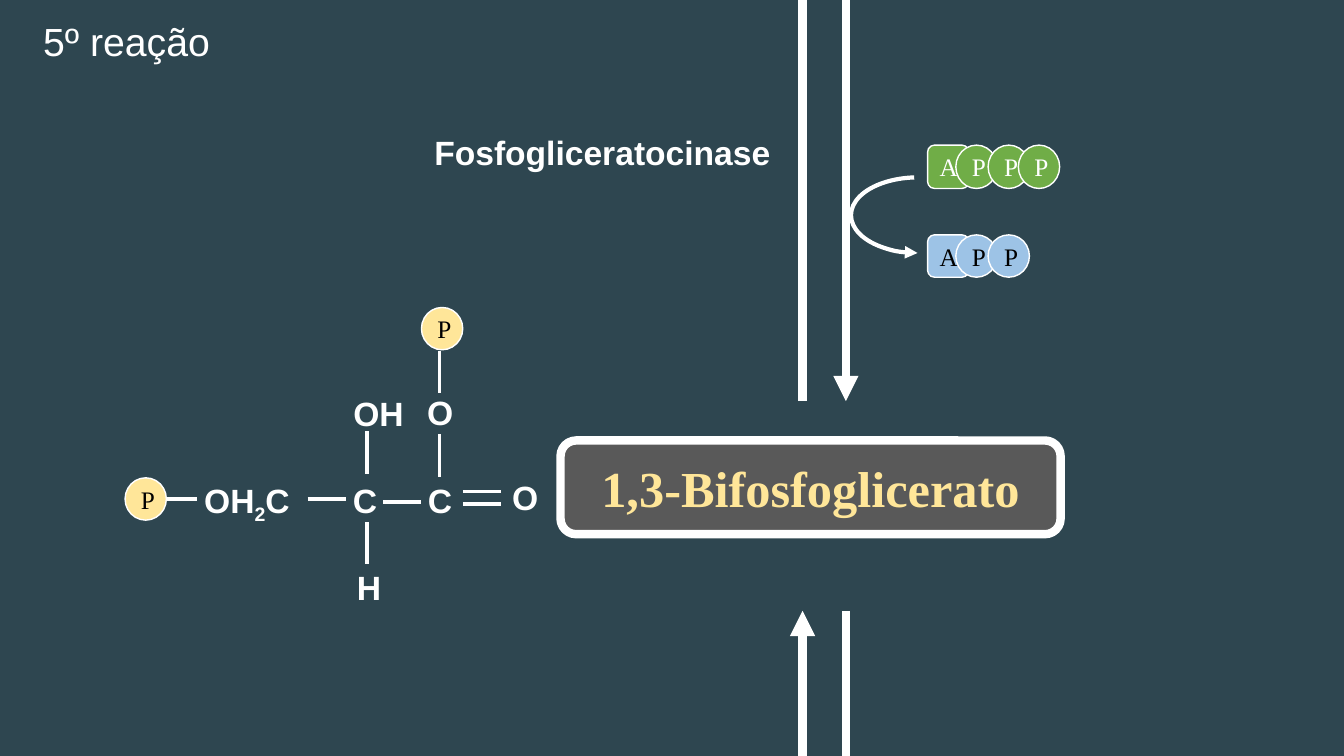
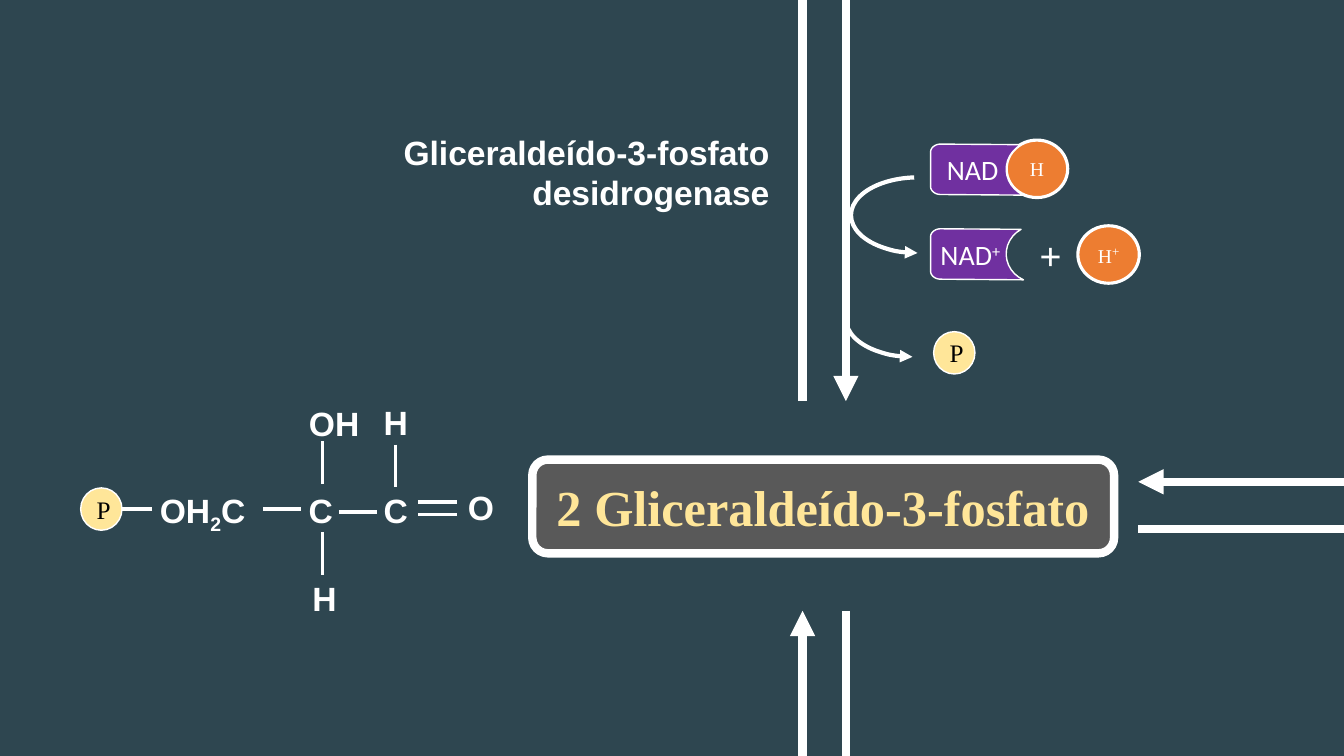
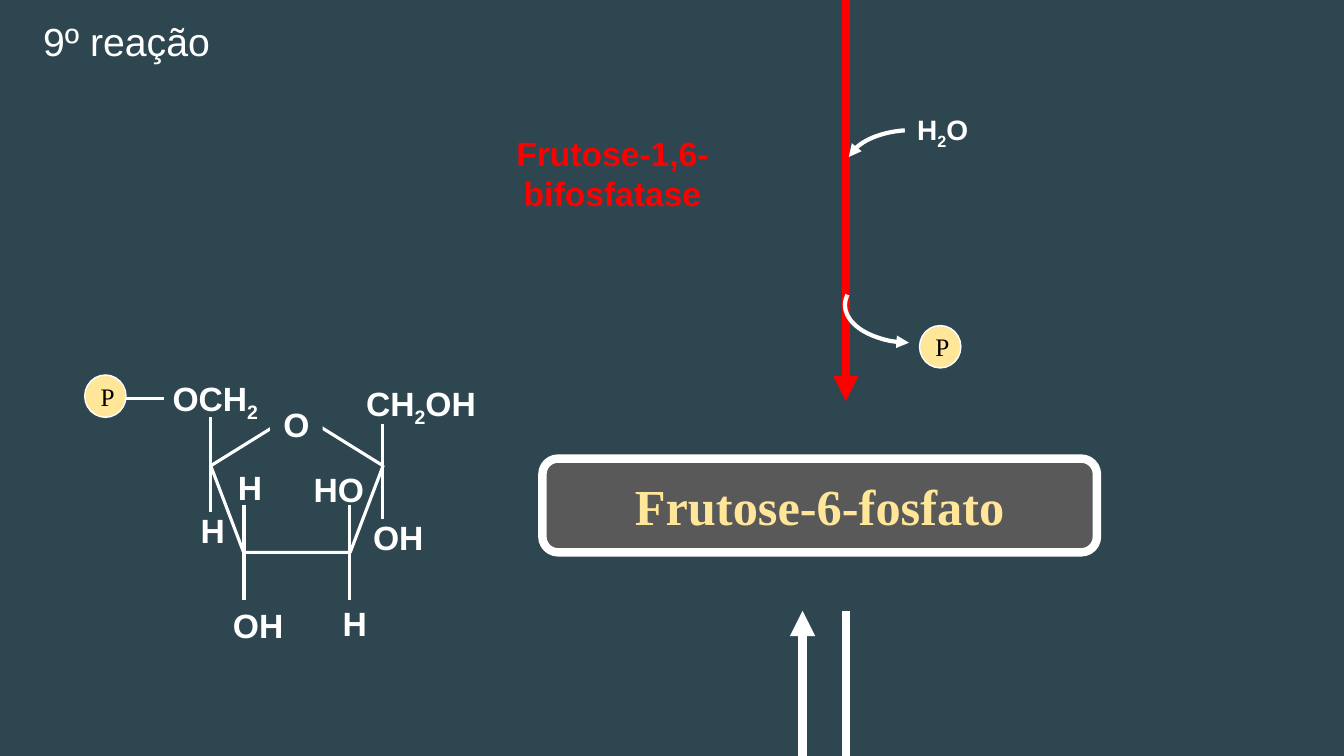
from math import cos, radians, sin
from lxml import etree
from pptx import Presentation
from pptx import util as u
from pptx.dml.color import RGBColor
from pptx.enum import shapes, text
from pptx.oxml.ns import qn

Inches, Pt = u.Inches, u.Pt
KIND, ALIGN = shapes.MSO_SHAPE, text.PP_ALIGN
NIGHT = RGBColor(0x2E, 0x46, 0x50)
WHITE = RGBColor(0xFF, 0xFF, 0xFF)
BLACK = RGBColor(0, 0, 0)
RED = RGBColor(0xFF, 0, 0)
GRAY = RGBColor(0x59, 0x59, 0x59)
CREAM = RGBColor(0xFF, 0xE6, 0x99)
GREEN = RGBColor(0x70, 0xAD, 0x47)
BLUE = RGBColor(0x9D, 0xC3, 0xE6)
ORANGE = RGBColor(0xED, 0x7D, 0x31)
PURPLE = RGBColor(0x70, 0x30, 0xA0)
SANS, SERIF, PLAIN = "Arial", "Times New Roman", "Calibri"
WIDE, HIGH = 13.33, 7.5
UP, DOWN = 7.96, 8.39


def write(shape, words, size, face, color=WHITE, bold=False, align=ALIGN.CENTER):
    """Write one paragraph; parts between bars are raised or lowered."""
    para = shape.text_frame.paragraphs[0]
    para.alignment = align
    font = para.font
    font.size, font.name, font.bold = Pt(size), face, bold
    font.color.rgb = color
    for i, part in enumerate(words.split("|")):
        if part:
            run = para.add_run()
            run.text = part
            if i % 2:
                shift = "30000" if part == "+" else "-25000"
                run._r.get_or_add_rPr().set("baseline", shift)


def paint(shape, fill, width, edge=WHITE):
    """Set the fill and outline; None leaves either off."""
    shape.shadow.inherit = False
    if fill is None:
        shape.fill.background()
    else:
        shape.fill.solid()
        shape.fill.fore_color.rgb = fill
    if width is None:
        shape.line.fill.background()
    else:
        shape.line.width = Pt(width)
        shape.line.color.rgb = edge


def form(home, kind, box, fill, width):
    """Add a painted preset shape."""
    shape = home.add_shape(kind, *map(Inches, box))
    paint(shape, fill, width)
    return shape


def label(slide, words, box, size=24, color=WHITE, bold=True,
          align=ALIGN.CENTER, face=SANS):
    """Add a text box that wraps and grows."""
    area = slide.shapes.add_textbox(*map(Inches, box))
    area.text_frame.word_wrap = True
    area.text_frame.auto_size = text.MSO_AUTO_SIZE.SHAPE_TO_FIT_TEXT
    write(area, words, size, face, color, bold, align)


def tip(shape, end):
    """Put a triangle on one end of a line."""
    line = shape.line._get_or_add_ln()
    etree.SubElement(line, qn("a:" + end)).set("type", "triangle")


def rule(slide, x1, y1, x2, y2, width=2.25, color=WHITE, arrow=False):
    """Draw a straight line, perhaps with an arrowhead."""
    line = slide.shapes.add_connector(
        shapes.MSO_CONNECTOR.STRAIGHT, *map(Inches, (x1, y1, x2, y2)))
    line.line.width = Pt(width)
    line.line.color.rgb = color
    if arrow:
        tip(line, "tailEnd")
    etree.SubElement(line._element.spPr, qn("a:effectLst"))


def curve(slide, x, y, start, stop):
    """Draw a curved side arrow."""
    arc = form(slide.shapes, KIND.ARC, (x, y, 1.32, 0.75), None, 3)
    arc.rotation = 180
    arc.adjustments[0], arc.adjustments[1] = start, stop
    tip(arc, "headEnd")


def disc(home, x, y, fill=CREAM, color=BLACK, high=0.42, kind=KIND.OVAL, words="P"):
    """Add a one-letter token."""
    token = form(home, kind, (x, y, 0.41, high), fill, 1)
    write(token, words, 18, SERIF, color)


def carrier(slide, y, high, fill, color, count):
    """Add a group of A followed by phosphates."""
    home = slide.shapes.add_group_shape().shapes
    disc(home, 9.2, y, fill, color, high, KIND.ROUNDED_RECTANGLE, "A")
    for x in (9.48, 9.8, 10.1)[:count]:
        disc(home, x, y, fill, color, high)


def proton(slide, x, y, words):
    """Add a hydrogen token."""
    ball = form(slide.shapes, KIND.OVAL, (x, y, 0.61, 0.57), ORANGE, 2.25)
    write(ball, words, 14, SERIF)
    for run in ball.text_frame.paragraphs[0].runs[1:]:
        run.font.size = Pt(16)


def bow(x, y, wide, high, start, stop):
    """Return points along an elliptic arc."""
    turns = [radians(start + (stop - start) * i / 12) for i in range(13)]
    return [(Inches(x + wide * cos(t)), Inches(y + high * sin(t))) for t in turns]


def notch(slide, y, words):
    """Add a NAD block with a round bite on its right."""
    dots = (bow(10.285, y + 0.25, 0.305, 0.285, 239, 116)
            + bow(9.33, y + 0.42, 0.1, 0.08, 90, 180)
            + bow(9.33, y + 0.08, 0.1, 0.08, 180, 270))
    pen = slide.shapes.build_freeform(*dots[0])
    pen.add_line_segments(dots[1:], close=True)
    block = pen.convert_to_shape()
    paint(block, PURPLE, 1)
    block.text_frame.vertical_anchor = text.MSO_ANCHOR.MIDDLE
    write(block, words, 20, PLAIN, align=ALIGN.LEFT)


def chain(slide, x, y, top):
    """Draw the three-carbon chain, with its phosphate at x, y."""
    for x1, y1, x2, y2 in (
            (0.71, 0.21, 0.37, 0.21), (1.81, 0.21, 2.19, 0.21),
            (2.4, -0.46, 2.4, -0.04), (2.56, 0.24, 2.94, 0.24),
            (3.12, -0.43, 3.12, -0.01), (3.35, 0.14, 3.73, 0.14),
            (3.35, 0.26, 3.73, 0.26), (2.4, 0.44, 2.4, 0.86)):
        rule(slide, x + x1, y + y1, x + x2, y + y2)
    for words, left, drop, wide in (
            ("OH|2|C", 0.53, -0.03, 1.36), ("C", 2.12, -0.03, 0.52),
            ("OH", 2.15, -0.89, 0.73), ("O", 3.71, -0.06, 0.52),
            ("C", 2.87, -0.03, 0.51), (top, 2.83, -0.9, 0.59),
            ("H", 2.2, 0.84, 0.39)):
        label(slide, words, (x + left, y + drop, wide, 0.5))
    disc(slide.shapes, x, y)


def ring(slide):
    """Draw the fructose ring with its side groups."""
    form(slide.shapes, KIND.REGULAR_PENTAGON, (2.09, 4.09, 1.71, 1.39), None, 2.25)
    for x, y in ((3.79, 4.21), (3.47, 5.01), (2.42, 5.01), (2.09, 4.14)):
        rule(slide, x, y, x, y + 0.94)
    oxygen = form(slide.shapes, KIND.RECTANGLE, (2.68, 3.96, 0.52, 0.5), NIGHT, None)
    oxygen.text_frame.vertical_anchor = text.MSO_ANCHOR.TOP
    write(oxygen, "O", 24, SANS, bold=True)
    for words, x, y, wide in (
            ("CH|2|OH", 3.47, 3.75, 1.41), ("OH", 3.56, 5.08, 0.78),
            ("HO", 3, 4.6, 0.72), ("H", 3.3, 5.93, 0.39),
            ("OCH|2|", 1.43, 3.7, 1.41), ("OH", 2.17, 5.95, 0.78),
            ("H", 2.26, 4.58, 0.39), ("H", 1.89, 5.01, 0.39)):
        label(slide, words, (x, y, wide, 0.5))
    rule(slide, 1.25, 3.95, 1.63, 3.95)
    disc(slide.shapes, 0.84, 3.72)


def stage(deck, name, x, y, wide, color=WHITE, back=True):
    """Start a slide with its compound name and reaction arrows."""
    slide = deck.slides.add_slide(deck.slide_layouts[6])
    slide.background.fill.solid()
    slide.background.fill.fore_color.rgb = NIGHT
    plate = form(slide.shapes, KIND.ROUNDED_RECTANGLE, (x, y, wide, 0.93), GRAY, 6)
    write(plate, name, 36, SERIF, CREAM, True)
    rule(slide, DOWN, 0, DOWN, 3.98, 6, color, True)
    if back:
        rule(slide, UP, 3.98, UP, 0, 6)
    rule(slide, DOWN, 6.06, DOWN, HIGH, 6)
    rule(slide, UP, HIGH, UP, 6.06, 6, arrow=True)
    return slide


def title(slide, words):
    """Write the reaction number."""
    label(slide, words, (0.02, 0.12, 2.47, 0.57), 28, bold=False)


def fifth(deck):
    """Build the bisphosphoglycerate slide."""
    slide = stage(deck, "1,3-Bifosfoglicerato", 5.56, 4.37, 4.96)
    carrier(slide, 1.44, 0.43, GREEN, WHITE, 3)
    carrier(slide, 2.33, 0.42, BLUE, BLACK, 2)
    curve(slide, 8.44, 1.76, 162, 50.98)
    title(slide, "5º reação")
    chain(slide, 1.24, 4.74, "O")
    disc(slide.shapes, 4.18, 3.05)
    rule(slide, 4.36, 3.48, 4.36, 3.9)
    label(slide, "Fosfogliceratocinase", (4, 1.26, 3.74, 0.5), align=ALIGN.RIGHT)


def sixth(deck):
    """Build the glyceraldehyde slide."""
    slide = stage(deck, "2 Gliceraldeído-3-fosfato", 5.28, 4.56, 5.77)
    curve(slide, 8.44, 1.76, 162, 50.98)
    proton(slide, 9.98, 1.39, "H")
    notch(slide, 1.43, " NAD")
    proton(slide, 10.69, 2.24, "H|+|")
    notch(slide, 2.27, "NAD|+|")
    label(slide, "+", (10.21, 2.25, 0.34, 0.57), 28, face=SERIF)
    chain(slide, 0.8, 4.84, "H")
    disc(slide.shapes, 9.26, 3.29)
    curve(slide, 8.39, 2.79, 162, 1.79)
    rule(slide, WIDE, 4.78, 11.29, 4.78, 6, arrow=True)
    rule(slide, 11.29, 5.25, WIDE, 5.25, 6)
    label(slide, "Gliceraldeído-3-fosfato desidrogenase",
          (1.51, 1.26, 6.22, 0.5), align=ALIGN.RIGHT)


def ninth(deck):
    """Build the fructose slide."""
    slide = stage(deck, "Frutose-6-fosfato", 5.38, 4.55, 5.5, RED, False)
    title(slide, "9º reação")
    ring(slide)
    curve(slide, 8.38, 2.65, 164.22, 5.45)
    disc(slide.shapes, 9.12, 3.23)
    label(slide, "Frutose-1,6-bifosfatase", (4.16, 1.27, 3.83, 0.5), color=RED)
    curve(slide, 8.39, 1.29, 5.82, 47.06)
    label(slide, "H|2|O", (8.83, 1.07, 1.04, 0.44), 20)


def main():
    """Build and save the deck."""
    deck = Presentation()
    deck.slide_width, deck.slide_height = Inches(WIDE), Inches(HIGH)
    fifth(deck)
    sixth(deck)
    ninth(deck)
    deck.save("out.pptx")


main()
